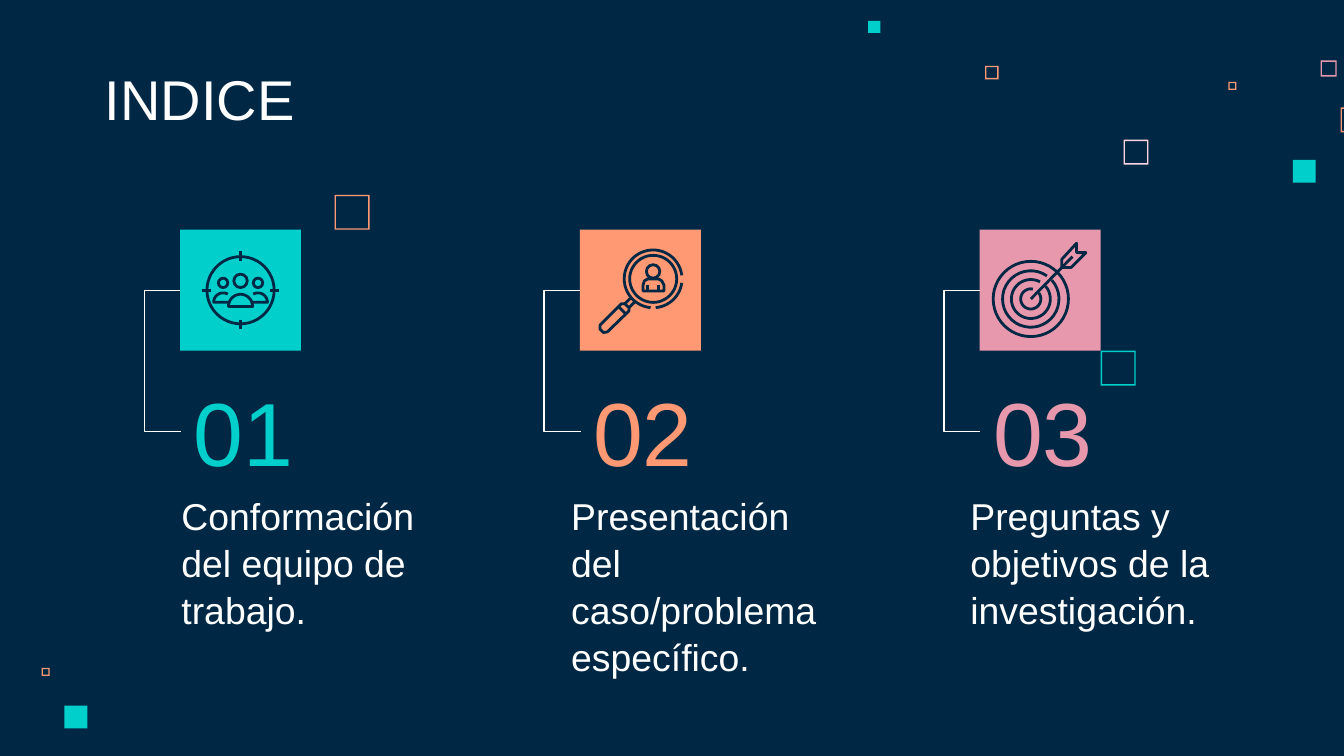
from dataclasses import dataclass
from math import cos, radians, sin

from pptx import Presentation
from pptx import util as u
from pptx.dml.color import RGBColor
from pptx.enum import shapes, text
from pptx.oxml import ns, xmlchemy

PX = 4572  # EMU per px, 200 px to the inch
FONT = "Arial"
NAVY = RGBColor(0x00, 0x28, 0x45)
TEAL = RGBColor(0x00, 0xCF, 0xCC)
ORANGE = RGBColor(0xFF, 0x99, 0x73)
PINK = RGBColor(0xE8, 0x98, 0xAC)
PALE_PINK = RGBColor(0xFF, 0xD6, 0xE1)
WHITE = RGBColor(0xFF, 0xFF, 0xFF)

TILE_LEFT, TILE_TOP, TILE_SIZE, TILE_STEP = 268, 342, 180, 595
BRACKET_DEPTH, BRACKET_HEIGHT = 52, 210
FRAME_WIDTH = 2


@dataclass
class Square:
    left: int
    top: int
    size: int
    color: RGBColor
    outlined: bool = True


@dataclass
class Ring:
    x: int
    y: int
    radius: int


@dataclass
class Stroke:
    points: list
    closed: bool = False


@dataclass
class Topic:
    number: str
    caption: str
    color: RGBColor
    caption_box: tuple
    icon: list


def arc(x: int, y: int, radius: int, start: int, end: int) -> list:
    """Points along an arc, in degrees clockwise from the right."""
    steps = 36
    angles = [radians(start + (end - start) * i / steps) for i in range(steps + 1)]
    return [(x + radius * cos(a), y + radius * sin(a)) for a in angles]


def px(*lengths: float) -> list:
    return [u.Emu(round(length * PX)) for length in lengths]


def add_square(slide, square: Square) -> None:
    kind = shapes.MSO_SHAPE.FRAME if square.outlined else shapes.MSO_SHAPE.RECTANGLE
    shape = slide.shapes.add_shape(kind, *px(square.left, square.top, square.size, square.size))
    if square.outlined:
        shape.adjustments[0] = FRAME_WIDTH / square.size
    shape.shadow.inherit = False
    shape.fill.solid()
    shape.fill.fore_color.rgb = square.color
    shape.line.fill.background()


def write(shape, box: tuple, words: str, size: int, color: RGBColor, anchor) -> None:
    shape.left, shape.top, shape.width, shape.height = px(*box)
    frame = shape.text_frame
    frame.text = words
    frame.word_wrap = True
    frame.auto_size = text.MSO_AUTO_SIZE.NONE
    frame.vertical_anchor = anchor
    frame.margin_left = frame.margin_right = frame.margin_top = frame.margin_bottom = u.Inches(0.1)
    paragraph = frame.paragraphs[0]
    properties = paragraph._p.get_or_add_pPr()
    properties.set("marL", "0")
    properties.set("indent", "0")
    properties.append(xmlchemy.OxmlElement("a:buNone"))
    paragraph.alignment = text.PP_ALIGN.LEFT
    paragraph.space_before = u.Pt(0)
    paragraph.font.name = FONT
    paragraph.font.size = u.Pt(size)
    paragraph.font.bold = False
    paragraph.font.color.rgb = color


def add_bracket(slide, left: int, top: int) -> None:
    connector = slide.shapes.add_connector(
        shapes.MSO_CONNECTOR.ELBOW, *px(left, top, left + 1, top + BRACKET_HEIGHT))
    connector.line.color.rgb = WHITE
    connector.line.width = u.Pt(0.75)
    properties = connector._element.spPr
    # The bend is a share of the connector's width, which is 1 px
    properties.find(ns.qn("a:prstGeom")).rewrite_guides([("adj1", -BRACKET_DEPTH * 100000)])
    properties.append(xmlchemy.OxmlElement("a:effectLst"))


def add_icon(slide, left: int, top: int, marks: list) -> None:
    group = slide.shapes.add_group_shape()
    for mark in marks:
        if isinstance(mark, Ring):
            side = 2 * mark.radius
            shape = group.shapes.add_shape(shapes.MSO_SHAPE.OVAL, *px(
                left + mark.x - mark.radius, top + mark.y - mark.radius, side, side))
        else:
            points = [px(left + x, top + y) for x, y in mark.points]
            builder = group.shapes.build_freeform(*points[0])
            builder.add_line_segments(points[1:], close=mark.closed)
            shape = builder.convert_to_shape()
        shape.shadow.inherit = False
        shape.fill.background()
        shape.line.color.rgb = NAVY
        shape.line.width = u.Pt(1.5)


# Icons, in px from the corner of their tile
shoulder = [(75, 108)] + arc(64, 108, 14, 180, 300)
TEAM = [
    Ring(90, 90, 50),
    *[Stroke([(90 + 44 * x, 90 + 44 * y), (90 + 58 * x, 90 + 58 * y)])
      for x, y in ((1, 0), (-1, 0), (0, 1), (0, -1))],
    Ring(90, 76, 10), Ring(64, 79, 7), Ring(116, 79, 7),
    Stroke(arc(90, 114, 18, 180, 360), closed=True),
    Stroke(shoulder), Stroke([(180 - x, y) for x, y in shoulder]),
]
MAGNIFIER = [
    Ring(109, 73, 35),
    Stroke(arc(109, 73, 43, 95, 353)), Stroke(arc(109, 73, 43, 8, 85)),
    Stroke([(62, 110), (30, 142), (30, 148), (35, 153), (41, 152),
            (73, 121), (73, 116), (67, 110)], closed=True),
    Stroke([(58, 115), (68, 125)]),
    Stroke([(67, 110), (75, 102)]), Stroke([(73, 116), (81, 108)]),
    Ring(109, 62, 10),
    Stroke([(94, 91), (94, 82), (96, 76), (101, 73), (117, 73), (122, 76),
            (125, 82), (125, 91)], closed=True),
    Stroke([(101, 82), (101, 91)]), Stroke([(117, 82), (117, 91)]),
]
TARGET = [
    Ring(76, 103, 56),
    *[Stroke(arc(76, 103, radius, start, end))
      for radius, start, end in ((42, -42, 305), (29, -41, 298), (15, -37, 282))],
    Stroke([(76, 103), (138, 40)]),
    Stroke([(122, 44), (144, 20), (144, 34), (158, 34), (136, 56), (122, 56)], closed=True),
]

TOPICS = [
    Topic("01", "Conformación del equipo de trabajo.", TEAL, (250, 710, 470, 260), TEAM),
    Topic("02", "Presentación del caso/problema específico.", ORANGE, (830, 710, 418, 310), MAGNIFIER),
    Topic("03", "Preguntas y objetivos de la investigación.", PINK, (1424, 710, 492, 126), TARGET),
]
SQUARES = [
    Square(1672, 208, 37, PALE_PINK), Square(1965, 90, 24, PINK),
    Square(1828, 122, 12, ORANGE), Square(1995, 160, 37, ORANGE),
    Square(1924, 238, 34, TEAL, outlined=False), Square(1466, 98, 20, ORANGE),
    Square(1292, 31, 18, TEAL, outlined=False), Square(62, 994, 12, ORANGE),
    Square(96, 1050, 34, TEAL, outlined=False),
    Square(498, 290, 52, ORANGE), Square(1638, 522, 52, TEAL),
]


def main() -> None:
    presentation = Presentation()
    presentation.slide_width, presentation.slide_height = px(2000, 1125)
    slide = presentation.slides.add_slide(presentation.slide_layouts.get_by_name("Comparison"))
    slide.background.fill.solid()
    slide.background.fill.fore_color.rgb = NAVY

    # Title and scattered squares
    write(slide.shapes.title, (136, 90, 1000, 126), "INDICE", 30, WHITE, text.MSO_ANCHOR.BOTTOM)
    for square in SQUARES:
        add_square(slide, square)

    # One column per topic
    title, *bodies = list(slide.placeholders)
    for column, (topic, body) in enumerate(zip(TOPICS, bodies)):
        left = TILE_LEFT + column * TILE_STEP
        write(body, topic.caption_box, topic.caption, 20, WHITE, text.MSO_ANCHOR.TOP)
        body.text_frame.paragraphs[0].line_spacing = 1.05
        number = slide.shapes.add_textbox(0, 0, 0, 0)
        write(number, (left, 578, 384, 126), topic.number, 48, topic.color, text.MSO_ANCHOR.MIDDLE)
        add_square(slide, Square(left, TILE_TOP, TILE_SIZE, topic.color, outlined=False))
        add_bracket(slide, left, TILE_TOP + TILE_SIZE // 2)
        add_icon(slide, left, TILE_TOP, topic.icon)

    # The layout has one body more than there are topics
    for spare in bodies[len(TOPICS):]:
        spare._element.getparent().remove(spare._element)

    presentation.save("out.pptx")


if __name__ == "__main__":
    main()
